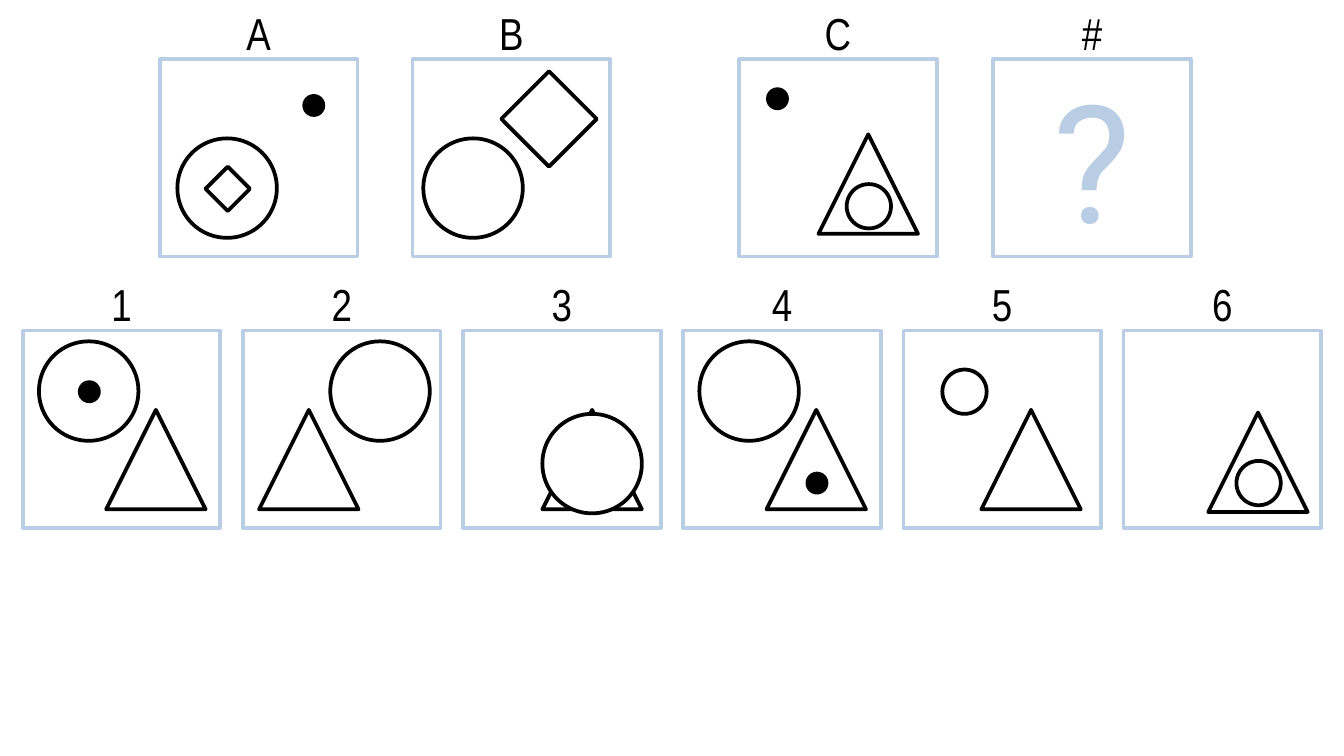
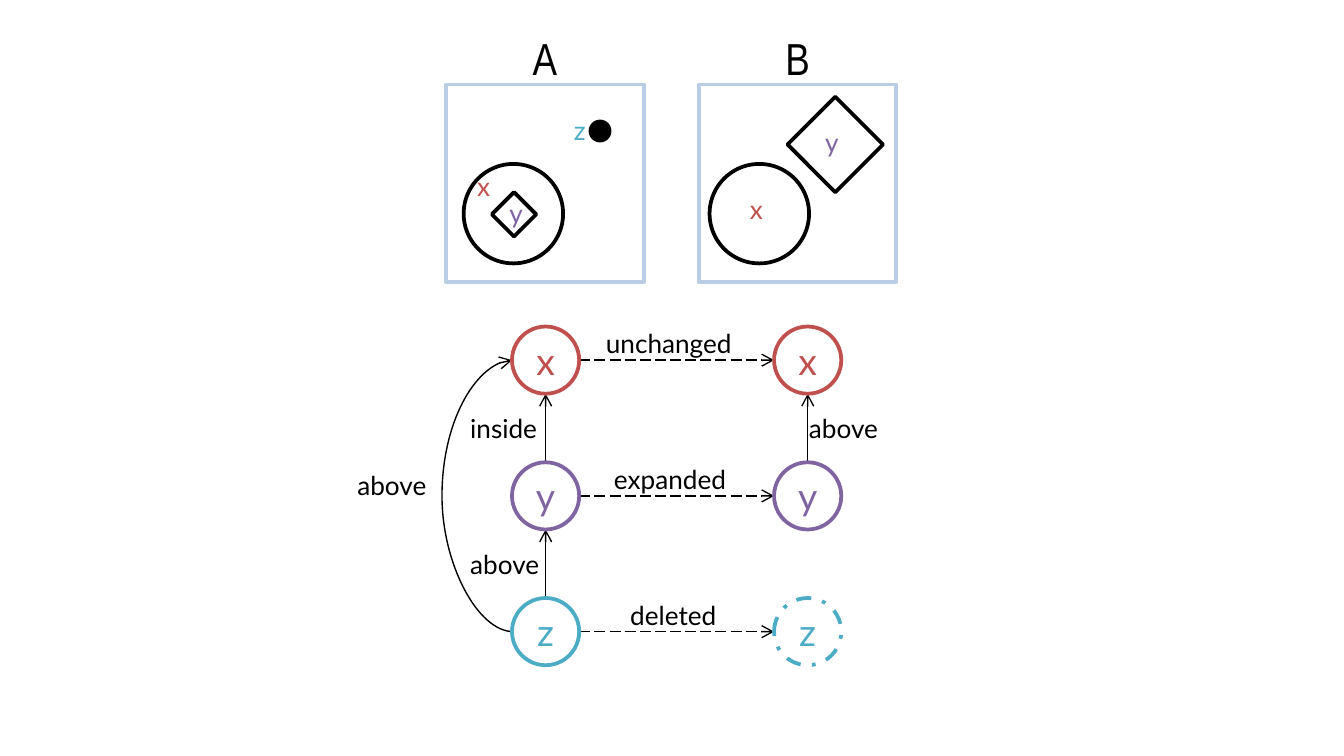
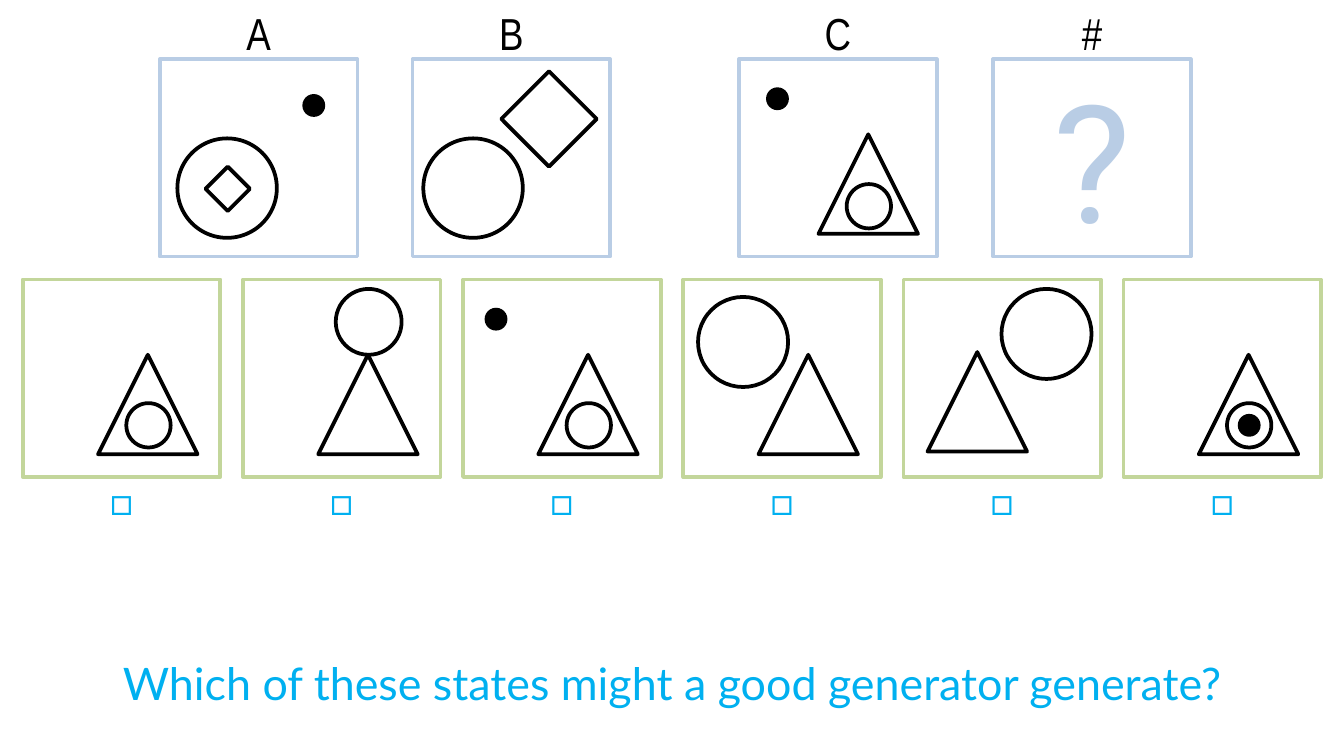
from lxml import etree
from pptx import Presentation
from pptx.dml.color import RGBColor
from pptx.enum.dml import MSO_LINE
from pptx.enum.shapes import MSO_CONNECTOR, MSO_SHAPE
from pptx.enum.text import MSO_ANCHOR, MSO_AUTO_SIZE, PP_ALIGN
from pptx.oxml.ns import qn
from pptx.util import Inches, Pt

CIRCLE, DIAMOND = MSO_SHAPE.OVAL, MSO_SHAPE.DIAMOND
TRIANGLE, SQUARE = MSO_SHAPE.ISOSCELES_TRIANGLE, MSO_SHAPE.RECTANGLE
STRAIGHT, CURVE = MSO_CONNECTOR.STRAIGHT, MSO_CONNECTOR.CURVE
LONG_DASH, DASH_DOT = MSO_LINE.LONG_DASH, MSO_LINE.DASH_DOT
LEFT, CENTER = PP_ALIGN.LEFT, PP_ALIGN.CENTER
TOP, MIDDLE, BOTTOM = MSO_ANCHOR.TOP, MSO_ANCHOR.MIDDLE, MSO_ANCHOR.BOTTOM
FIXED, GROW = MSO_AUTO_SIZE.NONE, MSO_AUTO_SIZE.SHAPE_TO_FIT_TEXT

COLORS = {
    "ink": "000000",
    "paper": "FFFFFF",
    "panel": "B9CDE5",
    "candidate": "C3D69B",
    "prompt": "00B0F0",
    "x": "C0504D",
    "y": "8064A2",
    "z": "4BACC6",
}
LABEL_FONT, BODY_FONT, MARK_FONT = "Arial Narrow", "Lato", "Roboto"
PANEL, BIG, SMALL, DOT, NODE = 1.47, 0.74, 0.33, 0.17, 0.5
LABEL_HEIGHT = 0.4


def add_figure(slide, kind, left, top, size, fill="paper", line="ink"):
    figure = slide.shapes.add_shape(kind, Inches(left), Inches(top), Inches(size), Inches(size))
    figure.shadow.inherit = False
    if fill:
        figure.fill.solid()
        figure.fill.fore_color.rgb = RGBColor.from_string(COLORS[fill])
    else:
        figure.fill.background()
    if line:
        figure.line.color.rgb = RGBColor.from_string(COLORS[line])
        figure.line.width = Pt(2)
    else:
        figure.line.fill.background()
    return figure


def write(shape, text, size, font, color, align=CENTER, anchor=MIDDLE,
          inset=(0, 0), wrap=True, fit=FIXED):
    frame = shape.text_frame
    frame.margin_left = frame.margin_right = Inches(inset[0])
    frame.margin_top = frame.margin_bottom = Inches(inset[1])
    frame.word_wrap = wrap
    frame.auto_size = fit
    frame.vertical_anchor = anchor
    paragraph = frame.paragraphs[0]
    paragraph.alignment = align
    run = paragraph.add_run()
    run.text = text
    run.font.size = Pt(size)
    run.font.name = font
    run.font.color.rgb = RGBColor.from_string(COLORS[color])


prs = Presentation()
prs.slide_width = Inches(10)
prs.slide_height = prs.slide_width * 9 // 16
title_only, blank = prs.slide_layouts[5], prs.slide_layouts[6]
puzzle = prs.slides.add_slide(blank)
mapping = prs.slides.add_slide(blank)
quiz = prs.slides.add_slide(title_only)

state_a = [(CIRCLE, 0.13, 0.59, BIG), (DIAMOND, 0.34, 0.8, SMALL), (CIRCLE, 1.06, 0.26, DOT)]
state_b = [(CIRCLE, 0.08, 0.59, BIG), (DIAMOND, 0.66, 0.09, 0.71)]
state_c = [(TRIANGLE, 0.59, 0.56, BIG), (CIRCLE, 0.8, 0.93, SMALL), (CIRCLE, 0.2, 0.21, DOT)]
analogy = [("A", 1.19, state_a), ("B", 3.07, state_b), ("C", 5.5, state_c), ("#", 7.39, [])]

answers = [
    [(TRIANGLE, 0.62, 0.59, BIG), (CIRCLE, 0.12, 0.08, BIG), (CIRCLE, 0.41, 0.37, DOT)],
    [(TRIANGLE, 0.12, 0.59, BIG), (CIRCLE, 0.65, 0.08, BIG)],
    [(TRIANGLE, 0.59, 0.59, BIG), (CIRCLE, 0.59, 0.62, BIG)],
    [(TRIANGLE, 0.62, 0.59, BIG), (CIRCLE, 0.12, 0.08, BIG), (CIRCLE, 0.91, 1.05, DOT)],
    [(TRIANGLE, 0.58, 0.59, BIG), (CIRCLE, 0.29, 0.29, SMALL)],
    [(TRIANGLE, 0.63, 0.61, BIG), (CIRCLE, 0.84, 0.97, SMALL)],
]
centred_triangle = (TRIANGLE, 0.56, 0.56, BIG)
inner_circle = (CIRCLE, 0.77, 0.92, SMALL)
candidates = [
    [centred_triangle, inner_circle],
    [centred_triangle, (CIRCLE, 0.69, 0.07, 0.49)],
    [centred_triangle, inner_circle, (CIRCLE, 0.16, 0.21, DOT)],
    [centred_triangle, (CIRCLE, 0.11, 0.13, 0.67)],
    [(TRIANGLE, 0.18, 0.54, BIG), (CIRCLE, 0.73, 0.07, 0.67)],
    [centred_triangle, inner_circle, (CIRCLE, 0.85, 1, DOT)],
]

margin = 0.17
option_step = (10 - 2 * margin - PANEL) / 5
panels = [(slide, label, left, 0.44, "panel", state)
          for slide in (puzzle, quiz) for label, left, state in analogy]
panels += [(mapping, "A", 3.32, 0.63, "panel", state_a),
           (mapping, "B", 5.2, 0.63, "panel", state_b)]
for index in range(6):
    left = margin + index * option_step
    panels.append((puzzle, str(index + 1), left, 2.46, "panel", answers[index]))
    panels.append((quiz, "□", left, 2.08, "candidate", candidates[index]))

for slide, label, left, top, border, state in panels:
    panel = add_figure(slide, SQUARE, left, top, PANEL, None, border)
    if label == "#":
        write(panel, "?", 88, MARK_FONT, "panel", inset=(0.1, 0.05))
    for kind, dx, dy, size in state:
        solid = size == DOT
        add_figure(slide, kind, left + dx, top + dy, size,
                   "ink" if solid else "paper", None if solid else "ink")
    checkbox = label == "□"
    height = 0.34 if checkbox else LABEL_HEIGHT
    label_top = top + PANEL if checkbox else top - height
    caption = slide.shapes.add_textbox(Inches(left), Inches(label_top), Inches(PANEL), Inches(height))
    if checkbox:
        write(caption, label, 20, BODY_FONT, "prompt", anchor=BOTTOM, fit=GROW)
    else:
        write(caption, label, 24, LABEL_FONT, "ink", anchor=BOTTOM, fit=GROW)

before, after = 3.81, 5.76
node_tops = {"x": 2.43, "y": 3.44, "z": 4.45}
before_mid, after_mid = before + NODE / 2, after + NODE / 2
relations = [
    (before_mid, node_tops["z"], before_mid, node_tops["y"] + NODE, None),
    (before_mid, node_tops["y"], before_mid, node_tops["x"] + NODE, None),
    (after_mid, node_tops["y"], after_mid, node_tops["x"] + NODE, None),
]
for top in node_tops.values():
    relations.append((before + NODE, top + NODE / 2, after, top + NODE / 2, LONG_DASH))

links = []
for x1, y1, x2, y2, dash in relations:
    link = mapping.shapes.add_connector(STRAIGHT, Inches(x1), Inches(y1), Inches(x2), Inches(y2))
    if dash:
        link.line.dash_style = dash
    links.append(link)

loop = mapping.shapes.add_connector(CURVE, Inches(before), Inches(node_tops["x"] + NODE / 2),
                                    Inches(before + 0.01), Inches(node_tops["z"] + NODE / 2))
loop_properties = loop._element.spPr
loop_properties.find(qn("a:xfrm")).set("rot", "10800000")
adjustments = loop_properties.find(qn("a:prstGeom")).get_or_add_avLst()
etree.SubElement(adjustments, qn("a:gd"), name="adj1", fmla="val 5400000")
links.append(loop)

for link in links:
    link.line.color.rgb = RGBColor.from_string(COLORS["ink"])
    link.line.width = Pt(0.75)
    properties = link._element.spPr
    etree.SubElement(properties.find(qn("a:ln")), qn("a:tailEnd"), type="arrow")
    etree.SubElement(properties, qn("a:effectLst"))

for name, top in node_tops.items():
    for left in (before, after):
        node = add_figure(mapping, CIRCLE, left, top, NODE, line=name)
        if name == "z" and left == after:
            node.line.dash_style = DASH_DOT
        write(node, name, 20, BODY_FONT, name)

relation_names = [
    ("inside", 3.4, 3.02, 0.76), ("above", 3.4, 4.03, 0.75), ("above", 2.56, 3.44, 0.75),
    ("above", 5.92, 3.02, 0.75), ("unchanged", 4.41, 2.39, 1.26),
    ("expanded", 4.47, 3.4, 1.14), ("deleted", 4.59, 4.41, 0.92),
]
for text, left, top, width in relation_names:
    relation = mapping.shapes.add_textbox(Inches(left), Inches(top), Inches(width), Inches(0.34))
    write(relation, text, 14, BODY_FONT, "ink", LEFT, TOP, (0.1, 0.05), False, GROW)

figure_names = [("x", 3.55, 1.27), ("y", 3.79, 1.47), ("z", 4.27, 0.85),
                ("x", 5.58, 1.44), ("y", 6.14, 0.94)]
for name, left, top in figure_names:
    tag = mapping.shapes.add_textbox(Inches(left), Inches(top), Inches(0.11), Inches(0.24))
    write(tag, name, 14, BODY_FONT, name, LEFT, TOP, wrap=False, fit=GROW)

question = quiz.shapes.title
question.left, question.top = Inches(0), Inches(4.66)
question.width, question.height = Inches(10), Inches(0.84)
write(question, "Which of these states might a good generator generate?", 24, BODY_FONT,
      "prompt", inset=(0, 0.05))

prs.save("out.pptx")
